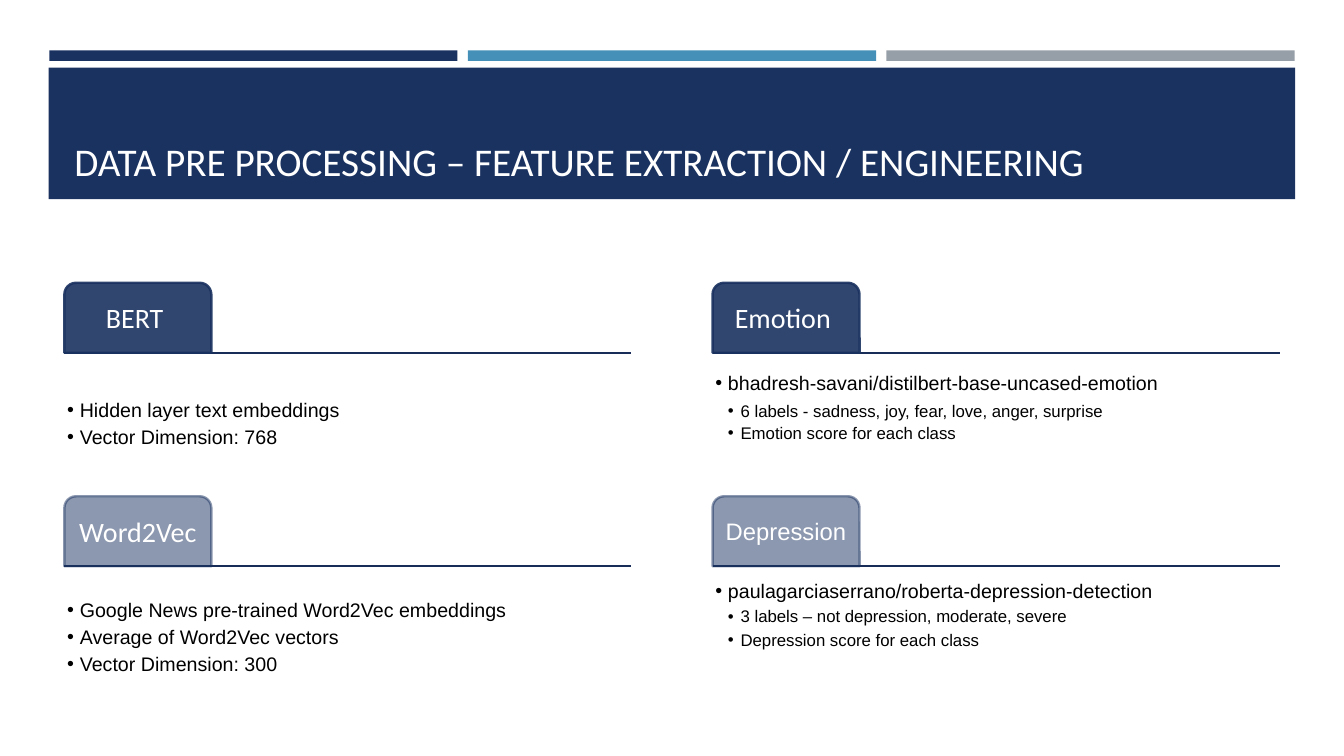
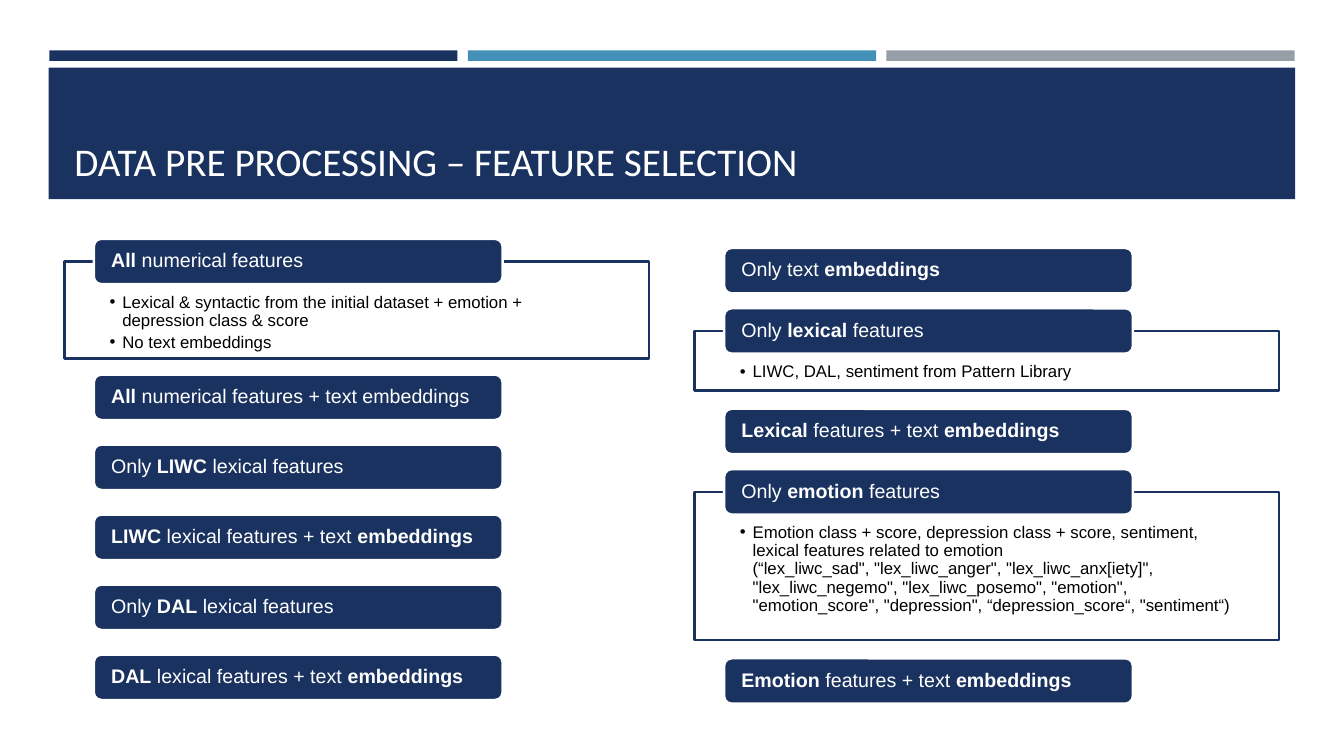
from dataclasses import dataclass

from lxml import etree
from pptx import Presentation
from pptx.dml.color import RGBColor
from pptx.enum.shapes import MSO_CONNECTOR, MSO_SHAPE
from pptx.enum.text import MSO_ANCHOR, MSO_AUTO_SIZE, PP_ALIGN
from pptx.oxml.ns import qn
from pptx.util import Pt

RECTANGLE = MSO_SHAPE.RECTANGLE
ROUNDED = MSO_SHAPE.ROUNDED_RECTANGLE
TAB = MSO_SHAPE.ROUND_2_SAME_RECTANGLE
STRAIGHT = MSO_CONNECTOR.STRAIGHT
TOP, MIDDLE, BOTTOM = MSO_ANCHOR.TOP, MSO_ANCHOR.MIDDLE, MSO_ANCHOR.BOTTOM
LEFT, CENTER = PP_ALIGN.LEFT, PP_ALIGN.CENTER
NO_AUTOFIT = MSO_AUTO_SIZE.NONE

NAVY = RGBColor(0x1A, 0x32, 0x60)
RULE_NAVY = RGBColor(0x18, 0x2D, 0x57)
BLUE = RGBColor(0x45, 0x90, 0xB8)
GRAY = RGBColor(0x96, 0x9F, 0xA7)
WHITE = RGBColor(0xFF, 0xFF, 0xFF)
BLACK = RGBColor(0, 0, 0)

HEADING_FONT, BODY_FONT = "Calibri", "Arial"
LINE_WIDTH = 1.75
BULLET_STEP = 9
BULLET_SPACE = 2.5
TIGHT = 0.9

# Feature cards
CARD_LEFTS = (46, 509)
CARD_TOP, CARD_PITCH = 202, 152.5
CARD_WIDTH, CARD_BODY_HEIGHT = 405, 100
TAB_WIDTH, TAB_HEIGHT = 105, 50
TAB_OPACITIES = (90, 50)

# Feature sets
PILL_WIDTH, PILL_HEIGHT, PILL_INDENT = 292, 32.4, 21
FRAME_WIDTH, FRAME_DROP = 417.6, 16.3


@dataclass(frozen=True)
class Bullet:
    text: str
    level: int = 1
    size: float = 14
    line_spacing: float = 1.0
    space_after: float = BULLET_SPACE


@dataclass(frozen=True)
class Card:
    label: str
    column: int
    row: int
    bullets: tuple[Bullet, ...]
    bottom_margin: float = 2
    font: str = HEADING_FONT
    size: float = 20


@dataclass(frozen=True)
class FeatureSet:
    label: str  # asterisks enclose bold words
    details: tuple[str, ...] = ()
    frame_height: float = 0


@dataclass(frozen=True)
class Column:
    left: float
    top: float
    pill_gap: float
    frame_gap: float
    sets: tuple[FeatureSet, ...]


CARDS = (
    Card("BERT ", 0, 0, (Bullet("Hidden layer text embeddings"),
                         Bullet("Vector Dimension: 768"))),
    Card("Word2Vec", 0, 1, (Bullet("Google News pre-trained Word2Vec embeddings"),
                            Bullet("Average of Word2Vec vectors"),
                            Bullet("Vector Dimension: 300"))),
    Card("Emotion ", 1, 0, (
        Bullet("bhadresh-savani/distilbert-base-uncased-emotion", 1, 14, TIGHT, 6),
        Bullet("6 labels - sadness, joy, fear, love, anger, surprise", 2, 12, TIGHT),
        Bullet("Emotion score for each class", 2, 12, TIGHT)), 23),
    Card("Depression", 1, 1, (
        Bullet("paulagarciaserrano/roberta-depression-detection"),
        Bullet("3 labels – not depression, moderate, severe", 2, 12),
        Bullet("Depression score for each class", 2, 12)), 33, BODY_FONT, 17),
)

COLUMNS = (
    Column(46, 170.6, 17.6, 11.5, (
        FeatureSet("*All* numerical features", (
            "Lexical & syntactic from the initial dataset + emotion + "
            "depression class & score",
            "No text embeddings"), 69.2),
        FeatureSet("*All* numerical features + text embeddings"),
        FeatureSet("Only *LIWC* lexical features"),
        FeatureSet("*LIWC* lexical features + text *embeddings*"),
        FeatureSet("Only *DAL* lexical features"),
        FeatureSet("*DAL* lexical features + text *embeddings*"))),
    Column(496.2, 177.1, 10.7, 13, (
        FeatureSet("Only text *embeddings*"),
        FeatureSet("Only *lexical* features",
                   ("LIWC, DAL, sentiment from Pattern Library",), 42.5),
        FeatureSet("*Lexical* features + text *embeddings*"),
        FeatureSet("Only *emotion* features", (
            "Emotion class + score, depression class + score, sentiment, "
            "lexical features related to emotion\n"
            '(“lex_liwc_sad", "lex_liwc_anger", "lex_liwc_anx[iety]", '
            '"lex_liwc_negemo", "lex_liwc_posemo", "emotion", '
            '"emotion_score", "depression", “depression_score“, '
            '"sentiment“)',), 105.8),
        FeatureSet("*Emotion* features + text *embeddings*"))),
)


def set_font(para, name: str, size: float, color: RGBColor) -> None:
    para.font.name = name
    para.font.size = Pt(size)
    para.font.color.rgb = color


def set_frame(frame, anchor, margins: tuple[float, float, float, float]) -> None:
    """Set wrapping, anchor and the left, top, right and bottom margins."""
    frame.word_wrap = True
    frame.auto_size = NO_AUTOFIT
    frame.vertical_anchor = anchor
    (frame.margin_left, frame.margin_top,
     frame.margin_right, frame.margin_bottom) = map(Pt, margins)


def add_box(page, kind, left: float, top: float, width: float, height: float,
            fill: RGBColor, line: RGBColor | None = None, opacity: int = 100):
    box = page.shapes.add_shape(kind, Pt(left), Pt(top), Pt(width), Pt(height))
    box.shadow.inherit = False
    box.fill.solid()
    box.fill.fore_color.rgb = fill
    if line is None:
        box.line.fill.background()
    else:
        box.line.color.rgb = line
        box.line.width = Pt(LINE_WIDTH)
    if opacity < 100:
        for color in box.element.spPr.iter(qn("a:srgbClr")):
            etree.SubElement(color, qn("a:alpha"), val=str(opacity * 1000))
    return box


def add_rule(page, left: float, top: float, width: float) -> None:
    rule = page.shapes.add_connector(STRAIGHT, Pt(left), Pt(top),
                                     Pt(left + width), Pt(top))
    rule.line.color.rgb = RULE_NAVY
    rule.line.width = Pt(LINE_WIDTH)
    etree.SubElement(rule.element.spPr, qn("a:effectLst"))


def write_bullets(frame, bullets: tuple[Bullet, ...]) -> None:
    for index, bullet in enumerate(bullets):
        para = frame.add_paragraph() if index else frame.paragraphs[0]
        para.text = bullet.text
        para.alignment = LEFT
        para.line_spacing = bullet.line_spacing
        if index < len(bullets) - 1:
            para.space_after = Pt(bullet.space_after)
        properties = para._p.get_or_add_pPr()
        properties.set("marL", str(Pt(BULLET_STEP * bullet.level)))
        properties.set("indent", str(-Pt(BULLET_STEP)))
        etree.SubElement(properties, qn("a:buFont"), typeface=BODY_FONT)
        etree.SubElement(properties, qn("a:buChar"), char="•")
        set_font(para, BODY_FONT, bullet.size, BLACK)


def add_bands(page, layout) -> None:
    """Draw the stripes and title band, then hand them to the layout."""
    bands = [add_box(page, RECTANGLE, 35.2 + 299 * index, 36, 291.6, 7.5, color)
             for index, color in enumerate((NAVY, BLUE, GRAY))]
    bands.append(add_box(page, RECTANGLE, 34.8, 48.4, 890.4, 93.8, NAVY))
    for index, band in enumerate(bands, start=2):
        layout.shapes.element.insert(index, band.element)


def add_page(deck, layout, heading: str):
    page = deck.slides.add_slide(layout)
    title = page.shapes.title
    title.left, title.top, title.width, title.height = map(Pt, (46, 55.4, 868, 80))
    title.text = heading
    set_frame(title.text_frame, BOTTOM, (7.2, 3.6, 7.2, 3.6))
    para = title.text_frame.paragraphs[0]
    para.alignment = LEFT
    para.line_spacing = TIGHT
    set_font(para, HEADING_FONT, 28, WHITE)
    return page


def add_card(page, card: Card) -> None:
    left = CARD_LEFTS[card.column]
    top = CARD_TOP + CARD_PITCH * card.row
    rule_top = top + TAB_HEIGHT
    add_rule(page, left, rule_top, CARD_WIDTH)

    # Tab with the name of the feature
    tab = add_box(page, TAB, left, top, TAB_WIDTH, TAB_HEIGHT, NAVY, NAVY,
                  TAB_OPACITIES[card.row])
    set_frame(tab.text_frame, MIDDLE, (3, 3, 3, 3))
    para = tab.text_frame.paragraphs[0]
    para.text = card.label
    para.alignment = CENTER
    para.line_spacing = TIGHT
    set_font(para, card.font, card.size, WHITE)

    # Bullets below the rule
    body = page.shapes.add_textbox(Pt(left), Pt(rule_top), Pt(CARD_WIDTH),
                                   Pt(CARD_BODY_HEIGHT))
    set_frame(body.text_frame, MIDDLE, (2, 2, 2, card.bottom_margin))
    write_bullets(body.text_frame, card.bullets)


def add_feature_set(page, item: FeatureSet, left: float, top: float) -> None:
    # Outlined details behind the pill
    if item.details:
        frame = add_box(page, RECTANGLE, left, top + FRAME_DROP, FRAME_WIDTH,
                        item.frame_height, WHITE, NAVY)
        set_frame(frame.text_frame, TOP, (32.4, 23, 32.4, 6.5))
        write_bullets(frame.text_frame,
                      tuple(Bullet(text, 1, 12, TIGHT) for text in item.details))

    # Pill with the name of the set
    pill = add_box(page, ROUNDED, left + PILL_INDENT, top, PILL_WIDTH,
                   PILL_HEIGHT, NAVY, WHITE)
    set_frame(pill.text_frame, MIDDLE, (10.8, 0, 10.8, 0))
    para = pill.text_frame.paragraphs[0]
    para.alignment = LEFT
    para.line_spacing = TIGHT
    set_font(para, BODY_FONT, 14, WHITE)
    for index, words in enumerate(item.label.split("*")):
        if words:
            span = para.add_run()
            span.text = words
            span.font.bold = index % 2 == 1


def add_column(page, column: Column) -> None:
    top = column.top
    for item in column.sets:
        add_feature_set(page, item, column.left, top)
        if item.details:
            top += FRAME_DROP + item.frame_height + column.frame_gap
        else:
            top += PILL_HEIGHT + column.pill_gap


def main() -> None:
    deck = Presentation()
    deck.slide_width, deck.slide_height = Pt(960), Pt(540)
    layout = deck.slide_layouts.get_by_name("Title Only")

    extraction = add_page(deck, layout,
                          "DATA PRE PROCESSING – FEATURE EXTRACTION / ENGINEERING")
    add_bands(extraction, layout)
    for card in CARDS:
        add_card(extraction, card)

    selection = add_page(deck, layout, "DATA PRE PROCESSING – FEATURE SELECTION")
    for column in COLUMNS:
        add_column(selection, column)

    deck.save("out.pptx")


if __name__ == "__main__":
    main()
